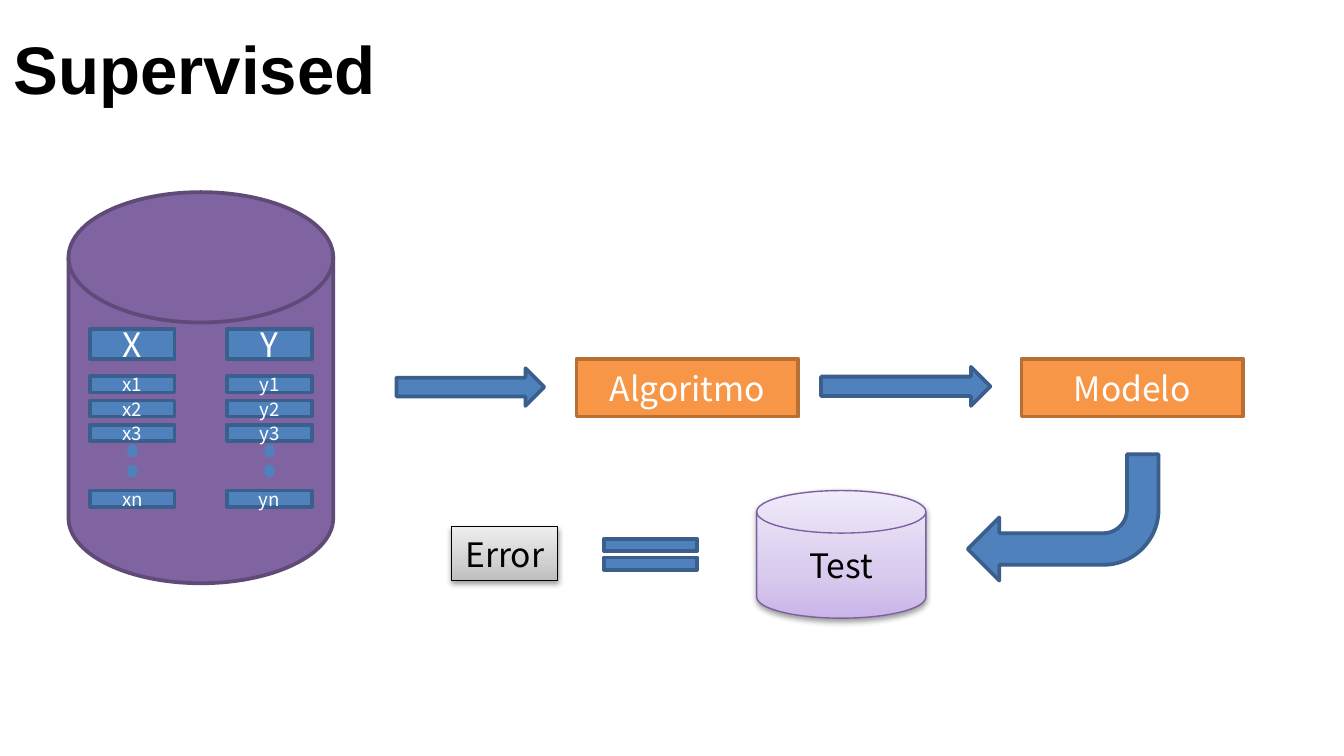
"""Build a slide that shows the supervised learning flow."""
from lxml import etree
from pptx import Presentation
from pptx import util as u
from pptx.dml.color import RGBColor
from pptx.enum import shapes, text
from pptx.oxml.ns import qn

KIND = shapes.MSO_SHAPE
BODY_FONT = "Noto Sans CJK KR"
BLUE, BLUE_EDGE = "4F81BD", "3A5F8C"
ORANGE, ORANGE_EDGE = "F79646", "B76F34"
LILAC = [(0, "C9B5E8"), (35, "D8CBEE"), (100, "F0EAF9")]
GREY = [(0, "BDBDBD"), (35, "D1D1D1"), (100, "EEEEEE")]


def rgb(value):
    """Turn a hex string into a colour."""
    return RGBColor.from_string(value)


def add_run(paragraph, words, size, color, font=BODY_FONT, bold=False):
    """Add one formatted run to a paragraph."""
    run = paragraph.add_run()
    run.text = words
    run.font.name = font
    run.font.size = u.Pt(size)
    run.font.bold = bold
    run.font.color.rgb = rgb(color)


def add_figure(slide, kind, box, fill=BLUE, edge=BLUE_EDGE, weight=2):
    """Add a flat preset shape with an outline."""
    shape = slide.shapes.add_shape(kind, *[u.Inches(length) for length in box])
    shape.shadow.inherit = False
    shape.fill.solid()
    shape.fill.fore_color.rgb = rgb(fill)
    shape.line.color.rgb = rgb(edge)
    shape.line.width = u.Pt(weight)
    return shape


def add_label(shape, words, size=18, color="FFFFFF", anchor=text.MSO_ANCHOR.MIDDLE):
    """Write one centred line in a shape."""
    frame = shape.text_frame
    frame.vertical_anchor = anchor
    paragraph = frame.paragraphs[0]
    paragraph.alignment = text.PP_ALIGN.CENTER
    add_run(paragraph, words, size, color)


def add_color_xml(parent, value):
    """Add a colour element below an XML parent."""
    return etree.SubElement(parent, qn("a:srgbClr"), val=value)


def add_raised(slide, kind, box, stops, edge):
    """Add a shape with an upward gradient and a soft shadow."""
    shape = add_figure(slide, kind, box, edge=edge, weight=0.75)
    shape.fill.gradient()
    shape.fill.gradient_angle = 90
    properties = shape._element.spPr
    stop_list = properties.find(".//" + qn("a:gsLst"))
    for stop in list(stop_list):
        stop_list.remove(stop)
    for percent, color in stops:
        stop = etree.SubElement(stop_list, qn("a:gs"), pos=str(percent * 1000))
        add_color_xml(stop, color)
    shadow = etree.SubElement(
        properties.find(qn("a:effectLst")), qn("a:outerShdw"),
        blurRad=str(u.Pt(3.1)), dist=str(u.Pt(1.6)), dir="5400000", rotWithShape="0")
    etree.SubElement(add_color_xml(shadow, "000000"), qn("a:alpha"), val="38000")
    return shape


def add_title(slide, words):
    """Place and fill the title placeholder."""
    title = slide.shapes.title
    title.left, title.top = u.Inches(0), u.Inches(0.03)
    title.width, title.height = u.Inches(10), u.Inches(0.94)
    title.text_frame.vertical_anchor = text.MSO_ANCHOR.MIDDLE
    paragraph = title.text_frame.paragraphs[0]
    paragraph.alignment = text.PP_ALIGN.LEFT
    add_run(paragraph, words, 36, "000000", "Arial", True)


def add_data_column(slide, left, letter):
    """Add a header, its sample rows and the dots between them."""
    width = 0.63
    header = add_figure(slide, KIND.RECTANGLE, (left, 2.45, width, 0.22))
    add_label(header, letter.upper())
    for index, top in (("1", 2.8), ("2", 2.98), ("3", 3.16), ("n", 3.65)):
        row = add_figure(slide, KIND.RECTANGLE, (left, top, width, 0.12))
        add_label(row, letter + index, 10)
    for top in (3.32, 3.47):
        add_figure(slide, KIND.OVAL, (left + 0.29, top, 0.05, 0.07), edge=BLUE)


def main():
    """Build and save the slide."""
    presentation = Presentation()
    presentation.slide_width = u.Inches(10)
    presentation.slide_height = u.Inches(10) * 9 // 16
    slide = presentation.slides.add_slide(presentation.slide_layouts[5])
    add_title(slide, "Supervised")

    disk = KIND.FLOWCHART_MAGNETIC_DISK
    add_figure(slide, disk, (0.51, 1.43, 1.97, 2.91), "8064A2", "5F4A78")
    for left, words in ((4.29, "Algoritmo"), (7.6, "Modelo")):
        step = add_figure(slide, KIND.RECTANGLE, (left, 2.67, 1.65, 0.43),
                          ORANGE, ORANGE_EDGE)
        add_label(step, words)
    for box in ((2.95, 2.74, 1.1, 0.28), (6.11, 2.73, 1.26, 0.29)):
        add_figure(slide, KIND.RIGHT_ARROW, box)
    return_arrow = add_figure(slide, KIND.BENT_ARROW, (7.2, 3.38, 1.42, 0.94))
    return_arrow.rotation = 180

    test = add_raised(slide, disk, (5.63, 3.65, 1.26, 0.95), LILAC, "7D60A0")
    add_label(test, "Test", color="000000")
    add_figure(slide, KIND.MATH_EQUAL, (4.37, 3.93, 0.94, 0.39))
    error = add_raised(slide, KIND.RECTANGLE, (3.36, 3.92, 0.79, 0.4), GREY, "000000")
    add_label(error, "Error", color="000000", anchor=text.MSO_ANCHOR.TOP)
    error.text_frame.word_wrap = False
    error.text_frame.auto_size = text.MSO_AUTO_SIZE.SHAPE_TO_FIT_TEXT

    for left, letter in ((0.67, "x"), (1.69, "y")):
        add_data_column(slide, left, letter)

    presentation.save("out.pptx")


if __name__ == "__main__":
    main()
